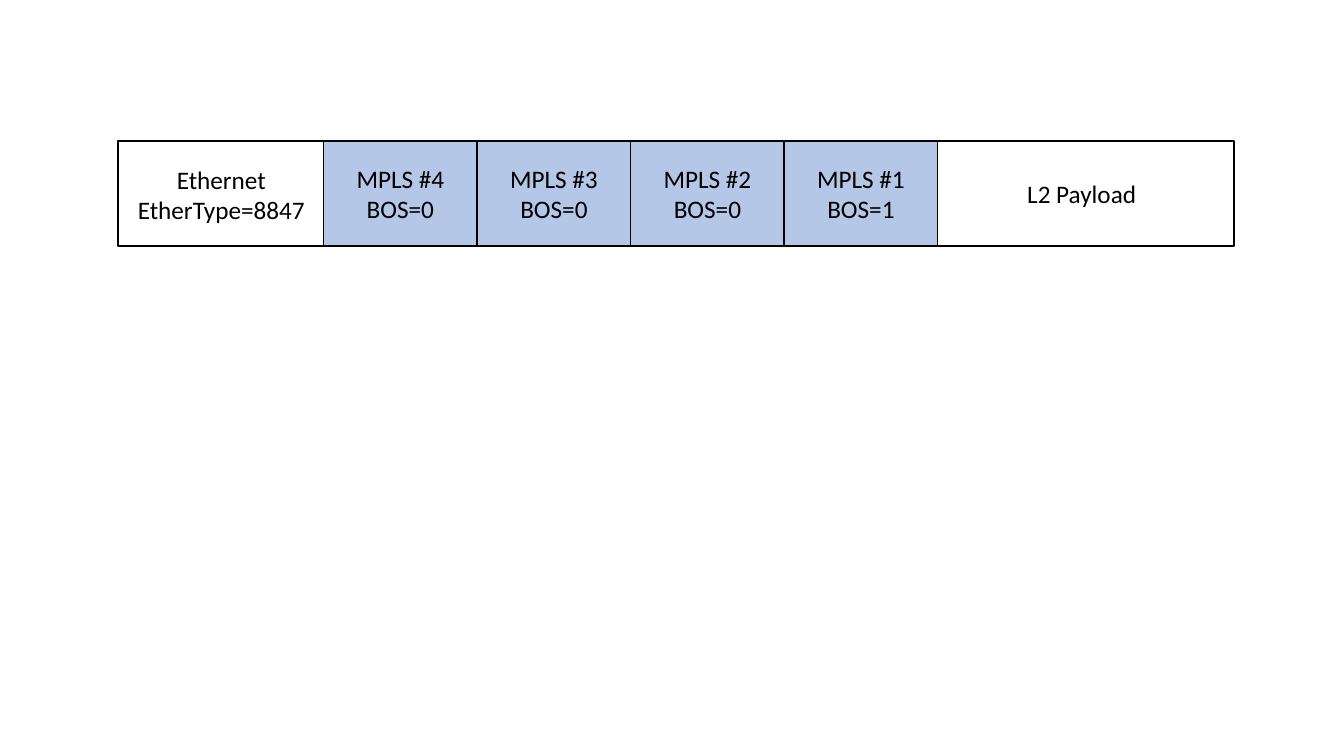
from pptx import Presentation
from pptx.dml.color import RGBColor
from pptx.enum import shapes, text
from pptx.util import Inches, Pt

# Content
LABELS = [["MPLS #4", "BOS=0"], ["MPLS #3", "BOS=0"],
          ["MPLS #2", "BOS=0"], ["MPLS #1", "BOS=1"]]
ETHERNET = ["Ethernet", "EtherType=8847"]
PAYLOAD = ["L2 Payload"]

# Layout in inches
PACKET_LEFT, PACKET_TOP = 1.17, 1.4
PACKET_WIDTH, PACKET_HEIGHT = 11.07, 1.04
STACK_LEFT, STACK_RIGHT = 3.21, 9.3
LABEL_WIDTH = (STACK_RIGHT - STACK_LEFT) / len(LABELS)

WHITE, BLUE, BLACK = "FFFFFF", "B4C7E7", "000000"


def color(value):
    return RGBColor.from_string(value)


def write(shape, lines, alignment=text.PP_ALIGN.CENTER):
    frame = shape.text_frame
    frame.word_wrap = True
    frame.vertical_anchor = text.MSO_ANCHOR.MIDDLE
    for index, line in enumerate(lines):
        paragraph = frame.paragraphs[0] if index == 0 else frame.add_paragraph()
        paragraph.alignment = alignment
        run = paragraph.add_run()
        run.text = line
        run.font.name = "Calibri"
        run.font.size = Pt(18)
        run.font.color.rgb = color(BLACK)


def add_box(slide, left, width, fill):
    shape = slide.shapes.add_shape(
        shapes.MSO_SHAPE.RECTANGLE, Inches(left), Inches(PACKET_TOP),
        Inches(width), Inches(PACKET_HEIGHT))
    shape.shadow.inherit = False
    shape.fill.solid()
    shape.fill.fore_color.rgb = color(fill)
    shape.line.color.rgb = color(BLACK)
    shape.line.width = Pt(1)
    return shape


def add_caption(slide, left, top, width, height, lines, alignment):
    box = slide.shapes.add_textbox(
        Inches(left), Inches(top), Inches(width), Inches(height))
    write(box, lines, alignment)


def main():
    presentation = Presentation()
    presentation.slide_width = Inches(13.33)
    presentation.slide_height = Inches(7.5)
    slide = presentation.slides.add_slide(presentation.slide_layouts[6])

    # Whole packet, with its header and payload captions
    add_box(slide, PACKET_LEFT, PACKET_WIDTH, WHITE)
    add_caption(slide, 1.2, 1.57, 1.99, 0.71, ETHERNET, text.PP_ALIGN.CENTER)
    add_caption(slide, 10.09, 1.72, 1.63, 0.4, PAYLOAD, text.PP_ALIGN.LEFT)

    # MPLS label stack
    for index, lines in enumerate(LABELS):
        label = add_box(slide, STACK_LEFT + index * LABEL_WIDTH, LABEL_WIDTH, BLUE)
        write(label, lines)

    presentation.save("out.pptx")


if __name__ == "__main__":
    main()
